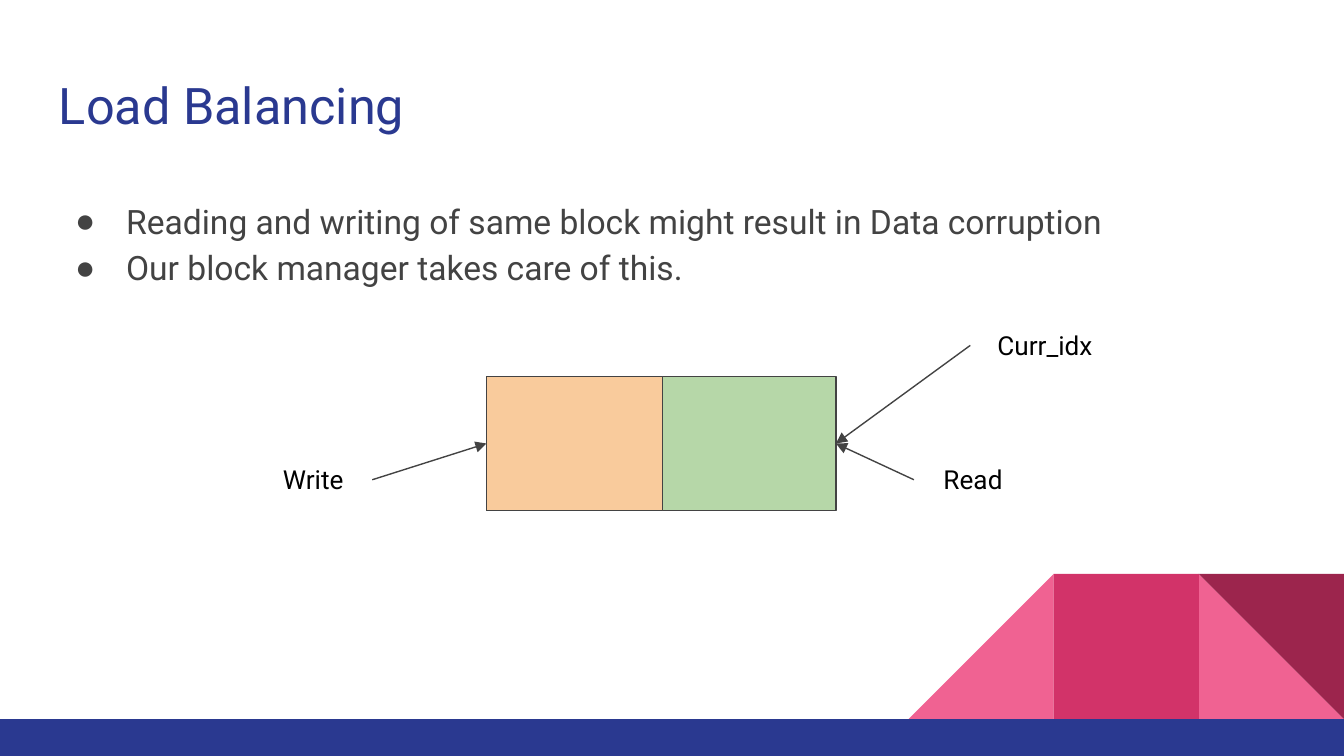
from lxml import etree
from pptx import Presentation, util as u
from pptx.dml.color import RGBColor
from pptx.enum import shapes, text
from pptx.oxml.ns import qn

NAVY, GREY, BLACK = "2A3990", "434343", "000000"
PINK, ROSE, WINE = "F06292", "D23369", "9C254D"
GREEN, ORANGE = "B6D7A8", "F9CB9C"
TOP, LEFT, BOTTOM, RIGHT = range(4)


def color(hex_value):
    return RGBColor.from_string(hex_value)


def add_text(frame, content, size=14, fill=BLACK, font="Roboto",
             align=text.PP_ALIGN.LEFT, spacing=1.0, bullet=None):
    """Write each line of content as one formatted paragraph."""
    for index, line in enumerate(content.split("\n")):
        paragraph = frame.add_paragraph() if index else frame.paragraphs[0]
        paragraph.alignment = align
        paragraph.line_spacing = spacing
        run = paragraph.add_run()
        run.text = line
        run.font.size = u.Pt(size)
        run.font.name = font
        run.font.color.rgb = color(fill)
        if bullet:
            properties = paragraph._p.get_or_add_pPr()
            properties.set("marL", str(u.Inches(0.5)))
            properties.set("indent", str(u.Inches(-0.38)))
            bullet_color = etree.SubElement(properties, qn("a:buClr"))
            etree.SubElement(bullet_color, qn("a:srgbClr"), val=fill)
            etree.SubElement(properties, qn("a:buFont"), typeface="Arial")
            etree.SubElement(properties, qn("a:buChar"), char=bullet)


class SlideBuilder:
    """Holds the line style and the current slide."""

    line_color = GREY
    line_width = u.Pt(0.75)
    inset = u.Inches(0.1)

    def __init__(self, slide):
        self.slide = slide

    def shape(self, kind, left, top, width, height, fill, outlined=False, rotation=0):
        shape = self.slide.shapes.add_shape(
            kind, *map(u.Inches, (left, top, width, height)))
        shape.shadow.inherit = False
        shape.rotation = rotation
        shape.fill.solid()
        shape.fill.fore_color.rgb = color(fill)
        if outlined:
            shape.line.color.rgb = color(self.line_color)
            shape.line.width = self.line_width
        else:
            shape.line.fill.background()
        return shape

    def text_box(self, left, top, width, height, content, grow=False, **style):
        box = self.slide.shapes.add_textbox(
            *map(u.Inches, (left, top, width, height)))
        frame = box.text_frame
        frame.word_wrap = True
        if grow:
            frame.auto_size = text.MSO_AUTO_SIZE.SHAPE_TO_FIT_TEXT
        frame.margin_left = frame.margin_right = self.inset
        frame.margin_top = frame.margin_bottom = self.inset
        add_text(frame, content, **style)
        return box

    def arrow(self, source, source_side, target, target_side):
        connector = self.slide.shapes.add_connector(
            shapes.MSO_CONNECTOR.STRAIGHT, 0, 0, 0, 0)
        connector.begin_connect(source, source_side)
        connector.end_connect(target, target_side)
        connector.line.color.rgb = color(self.line_color)
        connector.line.width = self.line_width
        etree.SubElement(connector.line._get_or_add_ln(), qn("a:tailEnd"), type="triangle")
        etree.SubElement(connector._element.spPr, qn("a:effectLst"))
        return connector


def main():
    # Widescreen slide, 16:9
    presentation = Presentation()
    presentation.slide_width = u.Inches(10)
    presentation.slide_height = u.Inches(10 * 9 / 16)
    builder = SlideBuilder(presentation.slides.add_slide(presentation.slide_layouts[6]))
    rectangle = shapes.MSO_SHAPE.RECTANGLE
    triangle = shapes.MSO_SHAPE.RIGHT_TRIANGLE

    # Corner decoration: square tiles ending at the right edge, above a footer bar
    tile, tile_top = 1.08, 4.27
    for kind, steps, fill, rotation in (
        (triangle, 1, PINK, 0),
        (triangle, 3, PINK, 270),
        (rectangle, 2, ROSE, 0),
        (triangle, 1, WINE, 180),
    ):
        builder.shape(kind, 10 - steps * tile, tile_top, tile, tile, fill,
                      rotation=rotation)
    builder.shape(rectangle, 0, tile_top + tile, 10, 0.28, NAVY)

    # Title and bullets
    builder.text_box(0.34, 0.45, 9.32, 0.66, "Load Balancing", size=27, fill=NAVY)
    builder.text_box(
        0.34, 1.35, 9.32, 3.65,
        "Reading and writing of same block might result in Data corruption\n"
        "Our block manager takes care of this.",
        size=18, fill=GREY, spacing=1.15, bullet="●")

    # Block: the written part lies over the left half
    read_block = builder.shape(rectangle, 3.62, 2.8, 2.6, 1, GREEN, outlined=True)
    write_block = builder.shape(rectangle, 3.62, 2.8, 1.31, 1, ORANGE, outlined=True)

    # Labels, each with an arrow to its block
    for label, left, top, width, side, block, block_side in (
        ("Write", 1.89, 3.35, 0.88, RIGHT, write_block, LEFT),
        ("Read", 6.8, 3.35, 0.88, LEFT, read_block, RIGHT),
        ("Curr_idx", 7.22, 2.35, 1.11, LEFT, read_block, RIGHT),
    ):
        box = builder.text_box(left, top, width, 0.44, label, grow=True,
                               align=text.PP_ALIGN.CENTER)
        builder.arrow(box, side, block, block_side)

    presentation.save("out.pptx")


if __name__ == "__main__":
    main()
